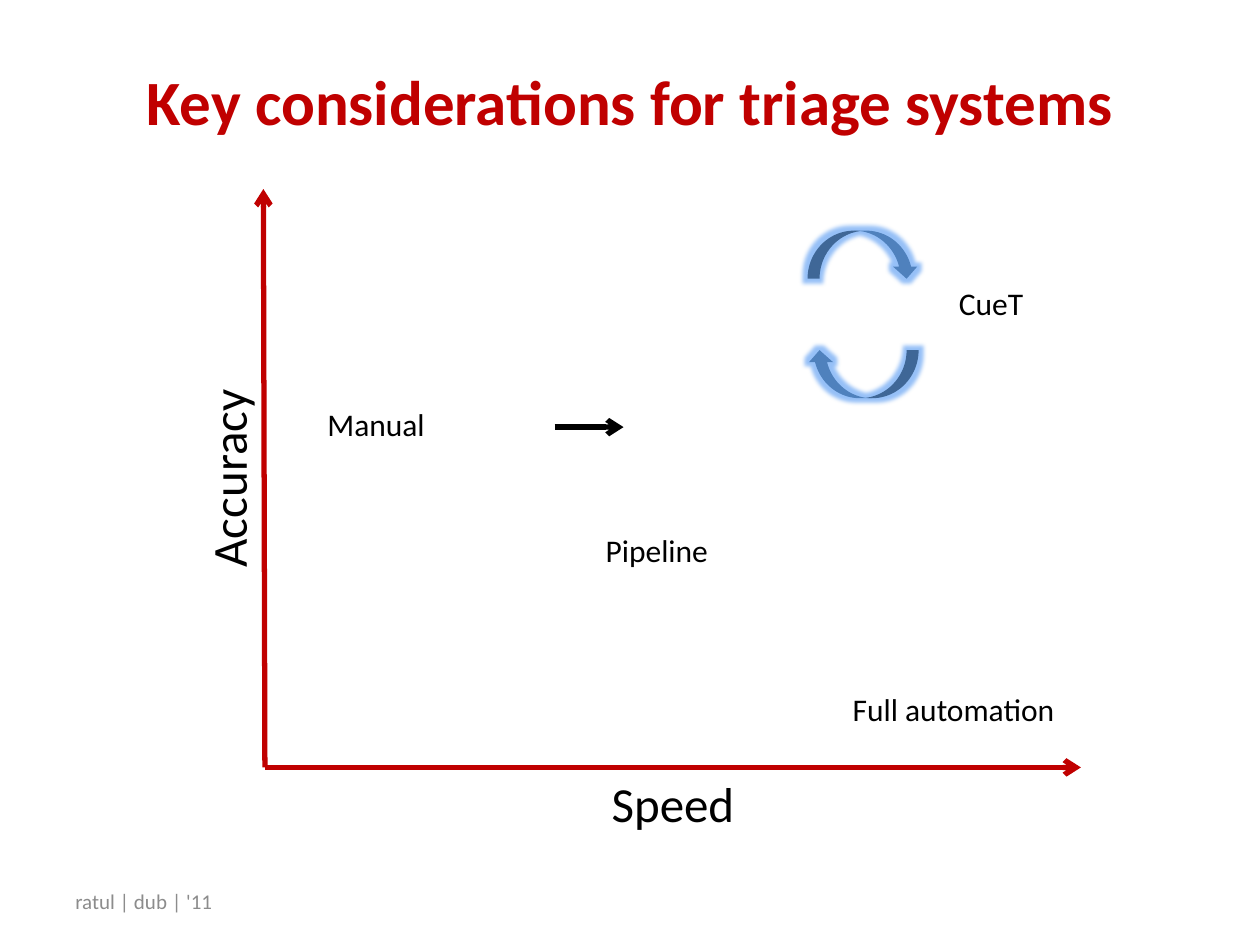
from dataclasses import dataclass

from lxml.etree import SubElement
from pptx import Presentation
from pptx.dml.color import RGBColor as Color
from pptx.enum.shapes import MSO_CONNECTOR as Connector, MSO_SHAPE as Shape
from pptx.enum.text import MSO_ANCHOR as Anchor, PP_ALIGN as Align
from pptx.oxml.ns import qn
from pptx.util import Cm, Pt


@dataclass(frozen=True)
class Theme:
    font: str = "Calibri"
    accent: str = "C00000"
    ink: str = "000000"
    muted: str = "8C8C8C"
    cycle: str = "4F81BD"
    glow: str = "97C1F8"
    title_size: int = 36
    axis_size: int = 28
    label_size: int = 18
    footer_size: int = 12
    line_width: int = 3
    glow_radius: int = 5


class SlideBuilder:
    def __init__(self, slide, theme):
        self.shapes = slide.shapes
        self.theme = theme

    def text(self, words, left, top, width, height, size, color=None,
             align=Align.LEFT, anchor=Anchor.TOP, bold=False, rotation=0):
        box = self.shapes.add_textbox(Cm(left), Cm(top), Cm(width), Cm(height))
        box.rotation = rotation
        frame = box.text_frame
        frame.word_wrap = True
        frame.vertical_anchor = anchor
        para = frame.paragraphs[0]
        para.text = words
        para.alignment = align
        para.font.name = self.theme.font
        para.font.size = Pt(size)
        para.font.bold = bold
        para.font.color.rgb = Color.from_string(color or self.theme.ink)

    def label(self, words, left, top, width):
        self.text(words, left, top, width, 1.03, self.theme.label_size)

    def axis_name(self, words, left, top, width, rotation=0):
        self.text(words, left, top, width, 1.45, self.theme.axis_size,
                  align=Align.CENTER, rotation=rotation)

    def arrow(self, start, end, color):
        line = self.shapes.add_connector(
            Connector.STRAIGHT, *(Cm(value) for value in (*start, *end)))
        line.line.color.rgb = Color.from_string(color)
        line.line.width = Pt(self.theme.line_width)
        SubElement(line.line._get_or_add_ln(), qn("a:tailEnd"), type="arrow")
        SubElement(line.element.spPr, qn("a:effectLst"))

    def cycle_arrow(self, left, top, flipped=False):
        arrow = self.shapes.add_shape(
            Shape.CURVED_DOWN_ARROW, Cm(left), Cm(top), Cm(2.24), Cm(0.97))
        arrow.fill.solid()
        arrow.fill.fore_color.rgb = Color.from_string(self.theme.cycle)
        arrow.line.fill.background()
        arrow.shadow.inherit = False
        properties = arrow.element.spPr
        if flipped:
            frame = properties.find(qn("a:xfrm"))
            frame.set("flipH", "1")
            frame.set("flipV", "1")
        effects = properties.find(qn("a:effectLst"))
        glow = SubElement(effects, qn("a:glow"),
                          rad=str(Pt(self.theme.glow_radius)))
        SubElement(glow, qn("a:srgbClr"), val=self.theme.glow)


def main():
    deck = Presentation()
    deck.slide_width, deck.slide_height = Cm(25.4), Cm(19.05)
    theme = Theme()
    page = SlideBuilder(deck.slides.add_slide(deck.slide_layouts[6]), theme)

    page.text("Key considerations for triage systems", 1.27, 0.43, 22.86, 3.18,
              theme.title_size, theme.accent, Align.CENTER, Anchor.MIDDLE,
              bold=True)
    page.text("ratul | dub | '11", 1.27, 17.65, 7.82, 1.02,
              theme.footer_size, theme.muted, anchor=Anchor.MIDDLE)

    origin = (5.34, 15.47)
    page.arrow(origin, (5.31, 3.81), theme.accent)
    page.arrow(origin, (21.79, 15.47), theme.accent)
    page.axis_name("Accuracy", -1.24, 8.92, 11.66, rotation=270)
    page.axis_name("Speed", 5.31, 15.47, 16.51)

    page.arrow((11.18, 8.61), (12.57, 8.61), theme.ink)
    for words, left, top, width in (
        ("Manual", 6.35, 8.05, 2.74),
        ("Full automation", 16.94, 13.79, 4.62),
        ("Pipeline", 11.96, 10.59, 2.74),
        ("CueT", 19.08, 5.61, 2.08),
    ):
        page.label(words, left, top, width)

    page.cycle_arrow(16.28, 4.65)
    page.cycle_arrow(16.28, 7.06, flipped=True)

    deck.save("out.pptx")


if __name__ == "__main__":
    main()
